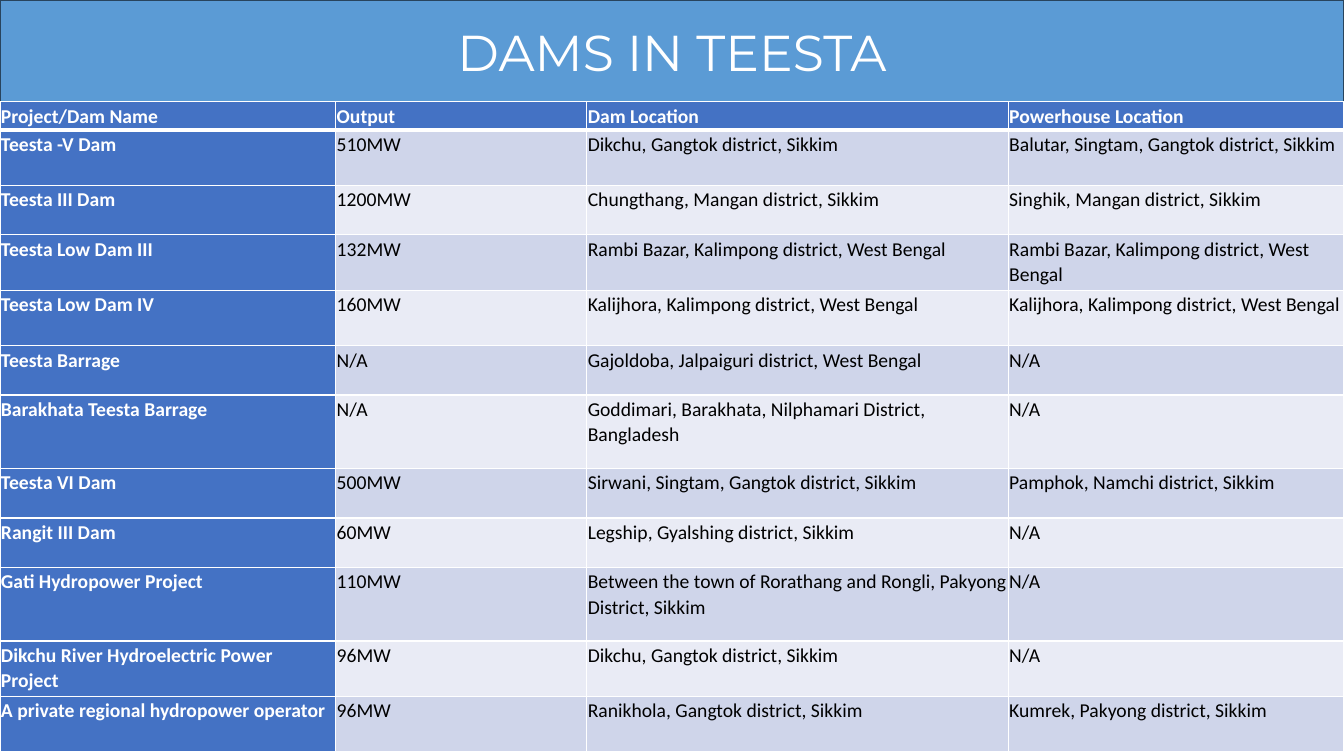
from lxml import etree
from pptx import Presentation
from pptx.dml.color import RGBColor
from pptx.enum.text import MSO_ANCHOR, MSO_AUTO_SIZE, PP_ALIGN
from pptx.oxml.ns import qn
from pptx.util import Inches, Pt

MIDDLE = MSO_ANCHOR.MIDDLE
NO_AUTOFIT = MSO_AUTO_SIZE.NONE
CENTER = PP_ALIGN.CENTER

WHITE = RGBColor(0xFF, 0xFF, 0xFF)
BLACK = RGBColor(0x00, 0x00, 0x00)
BANNER_BLUE = RGBColor(0x5B, 0x9B, 0xD5)
BANNER_EDGE = RGBColor(0x28, 0x44, 0x5D)
HEADING_BLUE = RGBColor(0x44, 0x72, 0xC4)
BANDS = (RGBColor(0xE9, 0xEB, 0xF5), RGBColor(0xCF, 0xD5, 0xEA))

PAGE_WIDTH, PAGE_HEIGHT = 13.33, 7.5
BANNER_HEIGHT = 1.01
CELL_MARGIN = Inches(0.01)
COLUMN_WIDTHS = (3.33, 2.49, 4.18, 3.33)

# Row height, then the text of each column
DAM_ROWS = [
    (0.28, "Project/Dam Name", "Output", "Dam Location", "Powerhouse Location"),
    (0.55, "Teesta -V Dam", "510MW", "Dikchu, Gangtok district, Sikkim",
     "Balutar, Singtam, Gangtok district, Sikkim"),
    (0.49, "Teesta III Dam", "1200MW", "Chungthang, Mangan district, Sikkim",
     "Singhik, Mangan district, Sikkim"),
    (0.55, "Teesta Low Dam III", "132MW",
     "Rambi Bazar, Kalimpong district, West Bengal",
     "Rambi Bazar, Kalimpong district, West Bengal"),
    (0.55, "Teesta Low Dam IV", "160MW",
     "Kalijhora, Kalimpong district, West Bengal",
     "Kalijhora, Kalimpong district, West Bengal"),
    (0.49, "Teesta Barrage", "N/A",
     "Gajoldoba, Jalpaiguri district, West Bengal", "N/A"),
    (0.73, "Barakhata Teesta Barrage", "N/A",
     "Goddimari, Barakhata, Nilphamari District, Bangladesh", "N/A"),
    (0.49, "Teesta VI Dam", "500MW", "Sirwani, Singtam, Gangtok district, Sikkim",
     "Pamphok, Namchi district, Sikkim"),
    (0.49, "Rangit III Dam", "60MW", "Legship, Gyalshing district, Sikkim", "N/A"),
    (0.73, "Gati Hydropower Project", "110MW",
     "Between the town of Rorathang and Rongli, Pakyong District, Sikkim", "N/A"),
    (0.55, "Dikchu River Hydroelectric Power Project", "96MW",
     "Dikchu, Gangtok district, Sikkim", "N/A"),
    (0.55, "A private regional hydropower operator", "96MW",
     "Ranikhola, Gangtok district, Sikkim", "Kumrek, Pakyong district, Sikkim"),
]


def add_banner(page, left, top, width, height):
    banner = page.shapes.title
    banner.left, banner.top = Inches(left), Inches(top)
    banner.width, banner.height = Inches(width), Inches(height)
    banner.fill.solid()
    banner.fill.fore_color.rgb = BANNER_BLUE
    banner.line.color.rgb = BANNER_EDGE
    banner.line.width = Pt(1)

    frame = banner.text_frame
    frame.text = "DAMS IN TEESTA"
    frame.auto_size = NO_AUTOFIT
    frame.vertical_anchor = MIDDLE
    para = frame.paragraphs[0]
    para.alignment = CENTER
    para.font.name = "Montserrat"
    para.font.size = Pt(36)
    para.font.color.rgb = WHITE


def set_borders(cell, widths):
    """Draw white borders; widths maps a side (L, R, T, B) to points."""
    properties = cell._tc.get_or_add_tcPr()
    for side in "LRTB":
        line = etree.SubElement(properties, qn(f"a:ln{side}"), w=str(Pt(widths[side])))
        fill = etree.SubElement(line, qn("a:solidFill"))
        etree.SubElement(fill, qn("a:srgbClr"), val=str(WHITE))


def fill_cell(cell, text, row, column):
    is_heading = row == 0 or column == 0
    cell.margin_left = cell.margin_right = CELL_MARGIN
    cell.margin_top = cell.margin_bottom = CELL_MARGIN
    set_borders(cell, {"L": 1, "R": 1, "T": 3 if row == 1 else 1,
                       "B": 3 if row == 0 else 1})
    cell.fill.solid()
    cell.fill.fore_color.rgb = HEADING_BLUE if is_heading else BANDS[row % 2]

    cell.text = text
    para = cell.text_frame.paragraphs[0]
    para.line_spacing = 1.07
    para.space_after = Pt(8)
    para.font.name = "Calibri"
    para.font.size = Pt(14)
    para.font.bold = is_heading
    para.font.color.rgb = WHITE if is_heading else BLACK


def add_dam_table(page, left, top, width, height):
    frame = page.shapes.add_table(len(DAM_ROWS), len(COLUMN_WIDTHS), Inches(left),
                                  Inches(top), Inches(width), Inches(height))
    table = frame.table
    table.first_col = True
    for column, column_width in zip(table.columns, COLUMN_WIDTHS):
        column.width = Inches(column_width)
    for row, (row_height, *texts) in enumerate(DAM_ROWS):
        table.rows[row].height = Inches(row_height)
        for column, text in enumerate(texts):
            fill_cell(table.cell(row, column), text, row, column)


def main():
    deck = Presentation()
    deck.slide_width, deck.slide_height = Inches(PAGE_WIDTH), Inches(PAGE_HEIGHT)
    title_only = deck.slide_layouts[5]
    page = deck.slides.add_slide(title_only)
    add_banner(page, 0, 0, PAGE_WIDTH, BANNER_HEIGHT)
    add_dam_table(page, 0, BANNER_HEIGHT, PAGE_WIDTH, PAGE_HEIGHT - BANNER_HEIGHT)
    deck.save("out.pptx")


if __name__ == "__main__":
    main()
